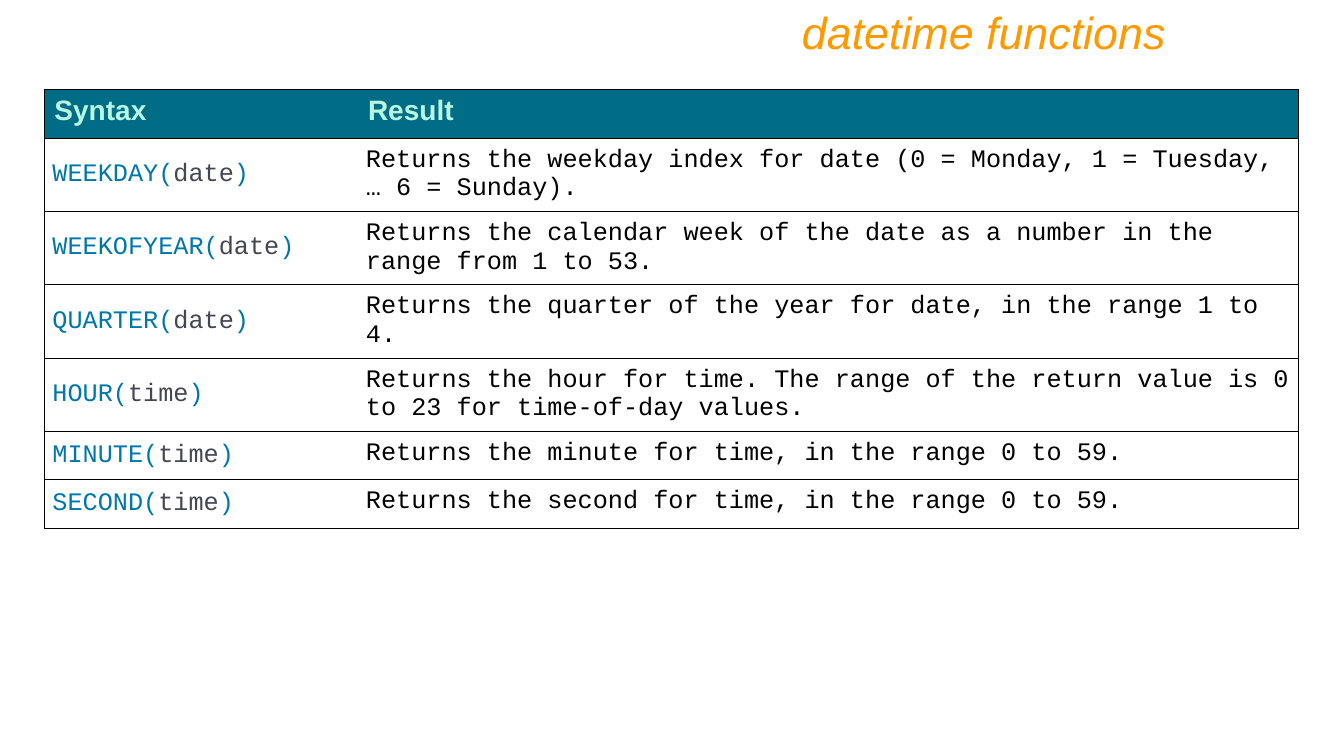
from lxml import etree
from pptx import Presentation
from pptx.dml.color import RGBColor
from pptx.enum.text import MSO_ANCHOR, PP_ALIGN
from pptx.oxml.ns import qn
from pptx.util import Inches, Pt

TOP, MIDDLE = MSO_ANCHOR.TOP, MSO_ANCHOR.MIDDLE
RIGHT = PP_ALIGN.RIGHT

WIDE, HIGH = 13.33, 7.5
COL, ROW = 3.11, 0.48  # the second column spans three units
BLACK, TEAL, MINT = "000000", "006C86", "B7F7E2"
BLUE, GREY, ORANGE = "0077AA", "464653", "FF9900"
SANS, MONO = "Arial", "Courier New"

HEADS = ["Syntax", "Result"]
CALLS = [
    ("WEEKDAY", "date", "Returns the weekday index for date "
     "(0 = Monday, 1 = Tuesday, … 6 = Sunday)."),
    ("WEEKOFYEAR", "date", "Returns the calendar week of the date "
     "as a number in the range from 1 to 53."),
    ("QUARTER", "date", "Returns the quarter of the year for date, "
     "in the range 1 to 4."),
    ("HOUR", "time", "Returns the hour for time. The range of the "
     "return value is 0 to 23 for time-of-day values."),
    ("MINUTE", "time", "Returns the minute for time, in the range 0 to 59."),
    ("SECOND", "time", "Returns the second for time, in the range 0 to 59."),
]


def color(code):
    return RGBColor.from_string(code)


def write(para, runs, face, size, bold=False, italic=False):
    """Fill a paragraph with (text, colour) runs in one font."""
    font = para.font
    font.name, font.size = face, Pt(size)
    font.bold, font.italic = bold, italic
    for text, code in runs:
        run = para.add_run()
        run.text = text
        run.font.color.rgb = color(code)


def edge(cell, sides):
    """Draw the named sides of a cell in black and clear the others."""
    props = cell._tc.get_or_add_tcPr()
    for spot, side in enumerate("LRTB"):
        line = etree.Element(qn(f"a:ln{side}"), w=str(Pt(0.75)))
        if side in sides:
            fill = etree.SubElement(line, qn("a:solidFill"))
            etree.SubElement(fill, qn("a:srgbClr"), val=BLACK)
        else:
            etree.SubElement(line, qn("a:noFill"))
        props.insert(spot, line)


def add_title(slide, text):
    box = slide.shapes.add_textbox(
        Inches(WIDE / 8), 0, Inches(WIDE * 0.75), Inches(0.64))
    frame = box.text_frame
    frame.word_wrap = True
    para = frame.paragraphs[0]
    para.alignment = RIGHT
    write(para, [(text, ORANGE)], SANS, 32, italic=True)


def fill_head(cell, text):
    cell.fill.solid()
    cell.fill.fore_color.rgb = color(TEAL)
    write(cell.text_frame.paragraphs[0], [(text, MINT)], SANS, 20, bold=True)


def fill_body(cell, runs, anchor):
    cell.fill.background()
    cell.vertical_anchor = anchor
    cell.margin_left = cell.margin_right = Inches(0.08)
    cell.margin_top = cell.margin_bottom = Inches(0.08)
    write(cell.text_frame.paragraphs[0], runs, MONO, 18)


def add_grid(slide):
    count = len(CALLS) + 1
    table = slide.shapes.add_table(
        count, 2, Inches(0.44), Inches(0.89),
        Inches(4 * COL), Inches(count * ROW)).table
    table.horz_banding = False
    for col, units in zip(table.columns, (1, 3)):
        col.width = Inches(units * COL)
    for row in table.rows:
        row.height = Inches(ROW)

    # Header row
    for index, text in enumerate(HEADS):
        fill_head(table.cell(0, index), text)

    # One row for each function
    for index, (name, arg, result) in enumerate(CALLS, 1):
        syntax = [(f"{name}(", BLUE), (arg, GREY), (")", BLUE)]
        fill_body(table.cell(index, 0), syntax, MIDDLE)
        fill_body(table.cell(index, 1), [(result, BLACK)], TOP)

    # Outer frame and row lines
    for row in table.rows:
        for cell, side in zip(row.cells, "LR"):
            edge(cell, side + "TB")


def main():
    deck = Presentation()
    deck.slide_width, deck.slide_height = Inches(WIDE), Inches(HIGH)
    slide = deck.slides.add_slide(deck.slide_layouts[6])
    add_grid(slide)
    add_title(slide, "datetime functions")
    deck.save("out.pptx")


if __name__ == "__main__":
    main()
